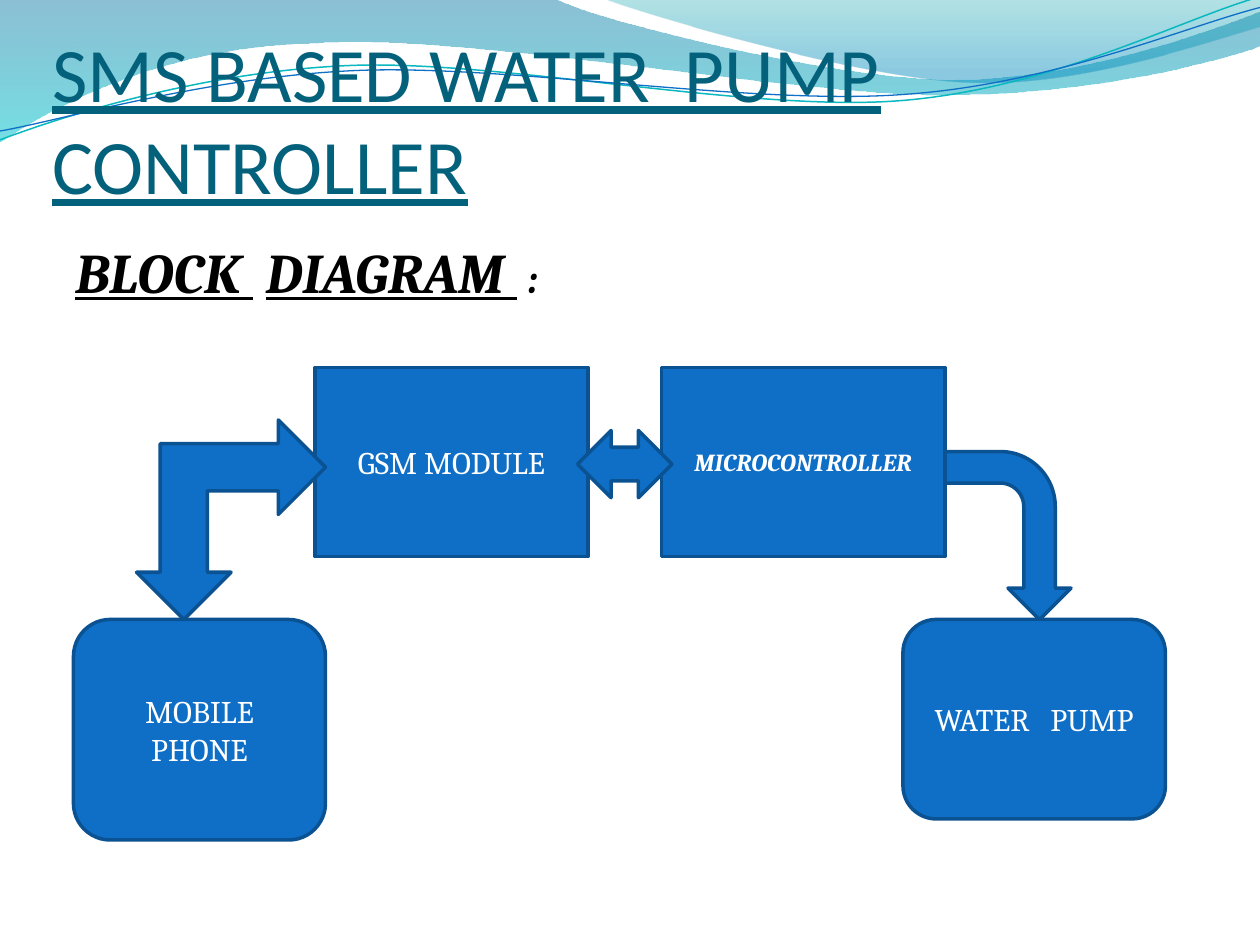
from math import cos, radians, sin
from pptx import Presentation
from pptx.dml.color import RGBColor as RGB
from pptx.enum.shapes import MSO_SHAPE as Kind
from pptx.enum.text import MSO_ANCHOR as Anchor, MSO_AUTO_SIZE as Auto, PP_ALIGN as Align
from pptx.oxml.ns import qn
from pptx.util import Inches, Pt
from lxml.etree import SubElement as Sub

theme = {
    "fill": "0F6FC6", "edge": "0B5292", "teal": "0AB8BF",
    "title": "04617B", "black": "000000", "white": "FFFFFF",
    "head": "Calibri", "body": "Cambria",
    "huge": 44, "large": 32, "mid": 24, "base": 18, "small": 14,
    "line": 2,
}

deck = Presentation()
deck.slide_width, deck.slide_height = Inches(10), Inches(7.5)
slide = deck.slides.add_slide(deck.slide_layouts[6])
col, row = deck.slide_width / 120, deck.slide_height / 90


def grid(x, y, w, h):
    return int(x * col), int(y * row), int(w * col), int(h * row)


def write(para, text, size, color, face="body", **look):
    run = para.add_run()
    run.text = text
    run.font.color.rgb = RGB.from_string(theme[color])
    form = {"name": theme[face], "size": Pt(theme[size]), **look}
    for key, val in form.items():
        setattr(run.font, key, val)


waves = [
    ([(0, 0), (4.4, -0.01),
      (4.76, 0.17, 6.64, 0.63, 7.58, 0.63), (8.53, 0.63, 9.58, 0.26, 10, 0.09),
      (10.01, 0.36),
      (9.83, 0.44, 8.7, 0.76, 7.46, 0.75), (6.22, 0.75, 3.82, 0.28, 2.57, 0.34),
      (1.29, 0.36, 0.46, 0.83, -0.01, 1.13), (0, 0)],
     [(0, "0074A1", 45), (1, "00C6CF", 55)], None, 0, (0, 0)),
    ([(4.79, -0.01),
      (5.09, 0.11, 6.82, 0.62, 7.69, 0.65), (8.56, 0.69, 9.61, 0.32, 10, 0.21),
      (10, 0), (4.79, -0.01)],
     [(0, "00A1A9", 30), (0.8, "008BBF", 45)], None, 0, (0, 0)),
    ([(0, 1.11),
      (0.48, 0.93, 1.58, 0.57, 2.77, 0.52), (3.95, 0.47, 5.93, 0.89, 7.13, 0.8),
      (8.33, 0.71, 9.38, 0.15, 9.98, -0.02)],
     None, ("teal", 0.85), -2.7, (4.99, 0.57)),
    ([(0, 1.04),
      (0.47, 0.96, 1.64, 0.61, 2.83, 0.56), (4.03, 0.51, 5.97, 0.84, 7.17, 0.75),
      (8.36, 0.67, 9.41, 0.21, 10, 0.06)],
     None, ("fill", 0.75), -2.7, (5, 0.59)),
]
for segs, stops, pen, turn, (mx, my) in waves:
    c, s = cos(radians(-turn)), sin(radians(-turn))
    dots = [pair for seg in segs for pair in zip(seg[::2], seg[1::2])]
    spots = [(Inches(mx + (x - mx) * c - (y - my) * s),
              Inches(my + (x - mx) * s + (y - my) * c)) for x, y in dots]
    pad = slide.shapes.build_freeform(*spots[0])
    pad.add_line_segments(spots[1:], close=bool(stops))
    wave = pad.convert_to_shape()
    wave.shadow.inherit = False
    wave.rotation = turn
    legs = iter(list(wave._element.iter(qn("a:lnTo"))))
    for seg in segs[1:]:
        leg = next(legs)
        if len(seg) == 6:
            curve = leg.makeelement(qn("a:cubicBezTo"))
            leg.addprevious(curve)
            for part in (leg, next(legs), next(legs)):
                curve.append(part[0])
                part.getparent().remove(part)
    if stops:
        wave.line.fill.background()
        wave.fill.gradient()
        wave.fill.gradient_angle = 270
        for stop, (pos, tint, _) in zip(wave.fill.gradient_stops, stops):
            stop.position = pos
            stop.color.rgb = RGB.from_string(tint)
        tags = list(wave._element.spPr.iter(qn("a:srgbClr")))
        for tag, (_, _, part) in zip(tags, stops):
            Sub(tag, qn("a:alpha")).set("val", str(part * 1000))
    else:
        wave.fill.background()
        wave.line.color.rgb = RGB.from_string(theme[pen[0]])
        wave.line.width = Pt(pen[1])

title = slide.shapes.add_textbox(*grid(5, 5, 109, 15)).text_frame
form = {"word_wrap": True, "vertical_anchor": Anchor.BOTTOM, "margin_left": 0,
        "margin_right": 0, "margin_top": Inches(0.05), "margin_bottom": 0}
for key, val in form.items():
    setattr(title, key, val)
write(title.paragraphs[0], "SMS BASED WATER  PUMP CONTROLLER",
      "huge", "title", "head", underline=True)

label = slide.shapes.add_textbox(*grid(6, 22, 110, 7.7)).text_frame
label.word_wrap = True
label.auto_size = Auto.SHAPE_TO_FIT_TEXT
for text, size, under in [("BLOCK ", "large", True), (" ", "large", False),
                          ("DIAGRAM ", "large", True), (" ", "large", False),
                          (":", "mid", False)]:
    write(label.paragraphs[0], text, size, "black",
          bold=True, italic=True, underline=under)

bold = {"bold": True, "italic": True}
parts = [
    (Kind.ROUNDED_RECTANGLE, (7, 59, 24, 21), 0, "MOBILE PHONE", "base", {}),
    (Kind.RECTANGLE, (30, 35, 26, 18), 0, "GSM MODULE", "base", {}),
    (Kind.RECTANGLE, (63, 35, 27, 18), 0, "MICROCONTROLLER", "small", bold),
    (Kind.ROUNDED_RECTANGLE, (86, 59, 25, 19), 0, "WATER   PUMP", "base", {}),
    (Kind.LEFT_RIGHT_ARROW, (55, 41, 9, 6.4), 0, "", "base", {}),
    (Kind.BENT_ARROW, (88, 45, 16, 12), 90, "", "base", {}),
    (Kind.LEFT_UP_ARROW, (13, 40, 18, 19), 180, "", "base", {}),
]
for kind, area, turn, text, size, look in parts:
    item = slide.shapes.add_shape(kind, *grid(*area))
    item.shadow.inherit = False
    item.rotation = turn
    item.fill.solid()
    item.fill.fore_color.rgb = RGB.from_string(theme["fill"])
    item.line.color.rgb = RGB.from_string(theme["edge"])
    item.line.width = Pt(theme["line"])
    if text:
        frame = item.text_frame
        frame.word_wrap = True
        frame.vertical_anchor = Anchor.MIDDLE
        frame.paragraphs[0].alignment = Align.CENTER
        write(frame.paragraphs[0], text, size, "white", **look)

deck.save("out.pptx")
